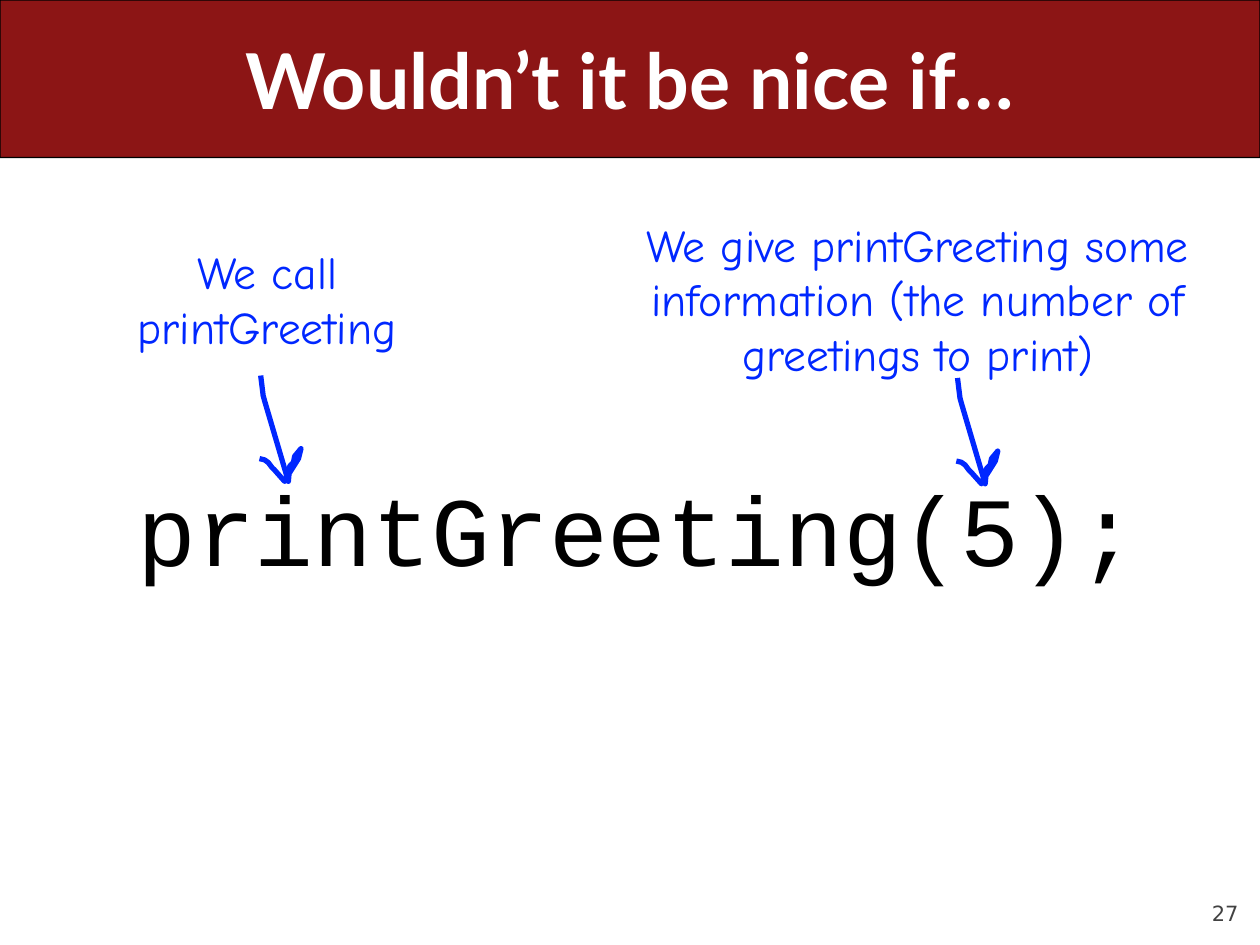
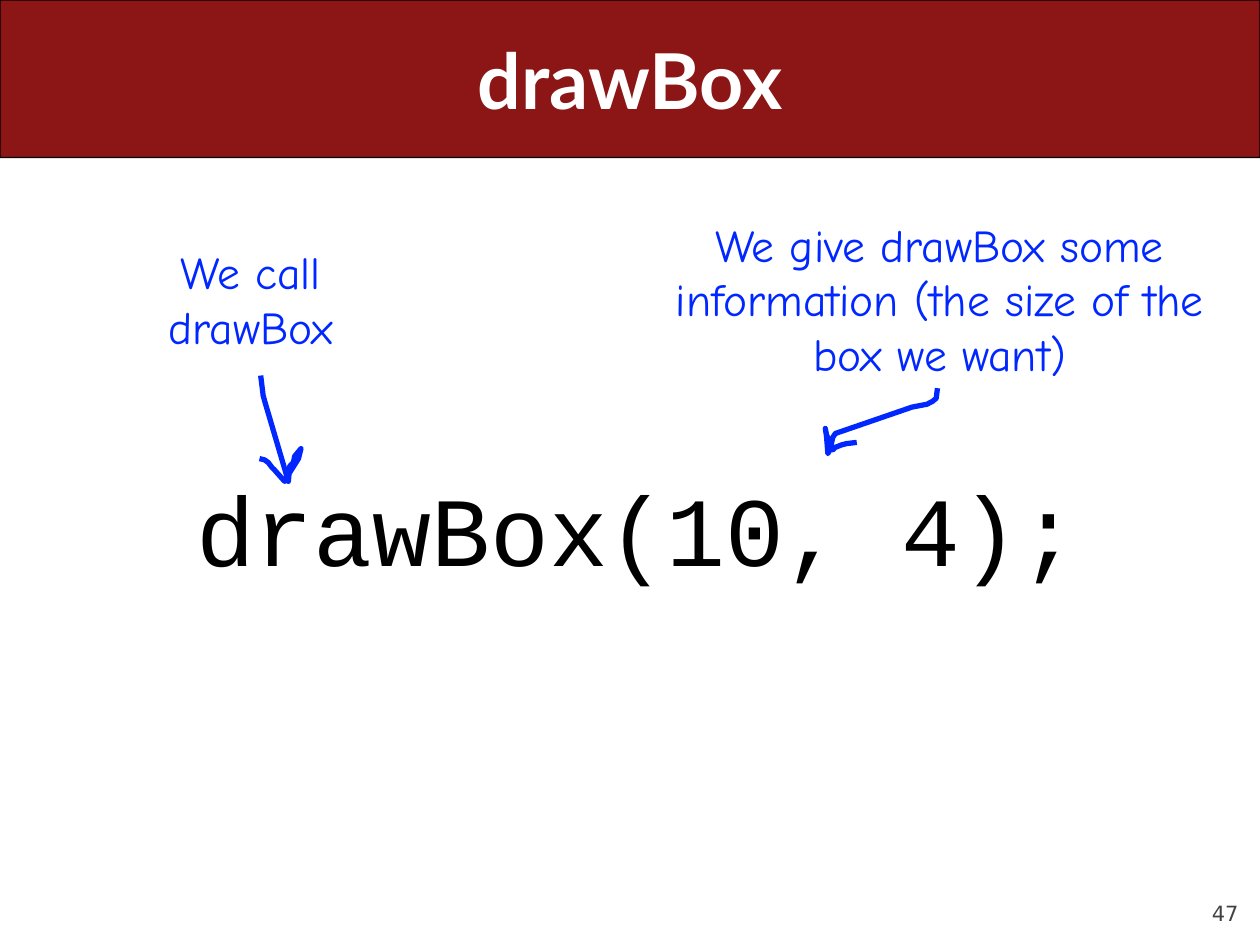
"""Build two slides that explain a function call and its arguments."""
from dataclasses import dataclass

from lxml import etree
from pptx import Presentation
from pptx.dml.color import RGBColor
from pptx.enum.shapes import MSO_SHAPE
from pptx.enum.text import MSO_ANCHOR, MSO_AUTO_SIZE, PP_ALIGN
from pptx.oxml.ns import qn
from pptx.util import Pt

BAND_SHAPE = MSO_SHAPE.ROUNDED_RECTANGLE
TOP, MIDDLE, BOTTOM = MSO_ANCHOR.TOP, MSO_ANCHOR.MIDDLE, MSO_ANCHOR.BOTTOM
CENTER, RIGHT = PP_ALIGN.CENTER, PP_ALIGN.RIGHT
GROW, FIXED = MSO_AUTO_SIZE.SHAPE_TO_FIT_TEXT, MSO_AUTO_SIZE.NONE
BLANK_LAYOUT = 6
STROKE_UNIT = Pt(0.1)


@dataclass(frozen=True)
class TextStyle:
    """Font, size and colour of one kind of text."""
    font: str
    size: float
    color: RGBColor
    bold: bool = False


@dataclass(frozen=True)
class Theme:
    """Colours, type styles and line widths of the deck."""
    band: RGBColor = RGBColor(0x8C, 0x15, 0x15)
    band_line: RGBColor = RGBColor(0, 0, 0)
    ink: RGBColor = RGBColor(0x00, 0x27, 0xFF)
    band_line_width: float = 0.75
    ink_width: float = 3
    title: TextStyle = TextStyle("Lato", 44, RGBColor(255, 255, 255), True)
    code: TextStyle = TextStyle("Courier New", 56, RGBColor(0, 0, 0))
    note: TextStyle = TextStyle("Comic Neue", 26, ink)
    number: TextStyle = TextStyle("DejaVu Sans", 12, RGBColor(0x42, 0x42, 0x42))


@dataclass(frozen=True)
class Frame:
    """Left, top, width and height in points."""
    left: float
    top: float
    width: float
    height: float


@dataclass(frozen=True)
class Note:
    """A handwritten remark and its place."""
    text: str
    frame: Frame


@dataclass(frozen=True)
class Arrow:
    """A hand-drawn arrow: where it starts, and the bends after that."""
    left: float
    top: float
    bends: tuple[tuple[float, float], ...]


@dataclass(frozen=True)
class CallSlide:
    """Everything that differs between the slides."""
    title: str
    number: str
    code: str
    code_frame: Frame
    notes: tuple[Note, ...]
    arrows: tuple[Arrow, ...]


THEME = Theme()
PAGE = Frame(0, 0, 720, 540)
BAND = Frame(0, 0, 720, 90)
TITLE = Frame(36, 0, 648, 90)
NUMBER = Frame(648, 500.4, 59.76, 28.8)

DOWNWARD = (
    (1.4, 11.5), (2.2, 14.4), (15.8, 60.5), (16.6, 51.8), (18.7, 49.7),
    (19.4, 46.1), (23, 41.8), (21.6, 47.5), (20.2, 49.7), (16.6, 55.4),
    (15.1, 57.6), (13.7, 60.5), (7.9, 54), (6.5, 52.6), (4.3, 49.7),
    (2.2, 48.2), (-0.7, 47.5),
)
LEFTWARD = (
    (-0.7, 5.8), (-2.9, 7.6), (-6, 9.2), (-14.4, 10.8), (-58.3, 25.9),
    (-59.8, 28.1), (-61.2, 34.6), (-62.6, 37.4), (-63.4, 27.4), (-64.1, 23),
    (-63.4, 26.6), (-59.8, 35.3), (-58.3, 33.8), (-54.7, 32.4),
    (-51.8, 31.7), (-46.1, 31),
)
CALL_ARROW = Arrow(149, 214.6, DOWNWARD)

SLIDES = (
    CallSlide(
        "Wouldn’t it be nice if…", "27",
        "printGreeting(5);", Frame(68.4, 264.2, 591.8, 74.9),
        (
            Note("We give printGreeting some information (the number of greetings to print)",
                 Frame(347.8, 120.2, 353.5, 101.5)),
            Note("We call printGreeting", Frame(59.8, 136.1, 185.8, 70.6)),
        ),
        (CALL_ARROW, Arrow(547.2, 216, DOWNWARD)),
    ),
    CallSlide(
        "drawBox", "47",
        "drawBox(10, 4);", Frame(102.2, 264.2, 524.2, 74.9),
        (
            Note("We give drawBox some information (the size of the box we want)",
                 Frame(372.2, 120.2, 329.8, 101.5)),
            Note("We call drawBox", Frame(59.8, 136.1, 167, 70.6)),
        ),
        (CALL_ARROW, Arrow(535.7, 221.8, LEFTWARD)),
    ),
)


def place(frame: Frame) -> tuple[Pt, Pt, Pt, Pt]:
    """Turn a frame into lengths for a new shape."""
    return Pt(frame.left), Pt(frame.top), Pt(frame.width), Pt(frame.height)


def add_text(slide, text: str, frame: Frame, style: TextStyle, *, align=CENTER,
             anchor=TOP, wrap: bool = True, fit=GROW, inset: bool = True) -> None:
    """Add one paragraph of text in a box."""
    box = slide.shapes.add_textbox(*place(frame)).text_frame
    box.word_wrap = wrap
    box.auto_size = fit
    box.vertical_anchor = anchor
    if not inset:
        box.margin_left = box.margin_top = box.margin_right = box.margin_bottom = 0
    para = box.paragraphs[0]
    para.alignment = align
    span = para.add_run()
    span.text = text
    span.font.name = style.font
    span.font.size = Pt(style.size)
    span.font.bold = style.bold
    span.font.color.rgb = style.color


def add_band(slide) -> None:
    """Add the coloured band behind the title."""
    band = slide.shapes.add_shape(BAND_SHAPE, *place(BAND))
    band.adjustments[0] = 0.001
    band.shadow.inherit = False
    band.fill.solid()
    band.fill.fore_color.rgb = THEME.band
    band.line.color.rgb = THEME.band_line
    band.line.width = Pt(THEME.band_line_width)


def add_arrow(slide, arrow: Arrow) -> None:
    """Draw an arrow as one open pen stroke."""
    builder = slide.shapes.build_freeform(0, 0, scale=STROKE_UNIT)
    builder.add_line_segments([(x * 10, y * 10) for x, y in arrow.bends], close=False)
    stroke = builder.convert_to_shape(Pt(arrow.left), Pt(arrow.top))
    stroke.shadow.inherit = False
    stroke.fill.background()
    stroke.line.color.rgb = THEME.ink
    stroke.line.width = Pt(THEME.ink_width)
    etree.SubElement(stroke.line._get_or_add_ln(), qn("a:round"))


def add_call_slide(deck, content: CallSlide) -> None:
    """Add one slide with its title, code, notes and arrows."""
    slide = deck.slides.add_slide(deck.slide_layouts[BLANK_LAYOUT])
    add_text(slide, content.number, NUMBER, THEME.number,
             align=RIGHT, anchor=BOTTOM, fit=FIXED, inset=False)
    add_band(slide)
    add_text(slide, content.title, TITLE, THEME.title, anchor=MIDDLE, fit=FIXED)
    add_text(slide, content.code, content.code_frame, THEME.code, wrap=False)
    for note in content.notes:
        add_text(slide, note.text, note.frame, THEME.note)
    for arrow in content.arrows:
        add_arrow(slide, arrow)


def main() -> None:
    """Build and save the deck."""
    deck = Presentation()
    deck.slide_width, deck.slide_height = Pt(PAGE.width), Pt(PAGE.height)
    for content in SLIDES:
        add_call_slide(deck, content)
    deck.save("out.pptx")


if __name__ == "__main__":
    main()
